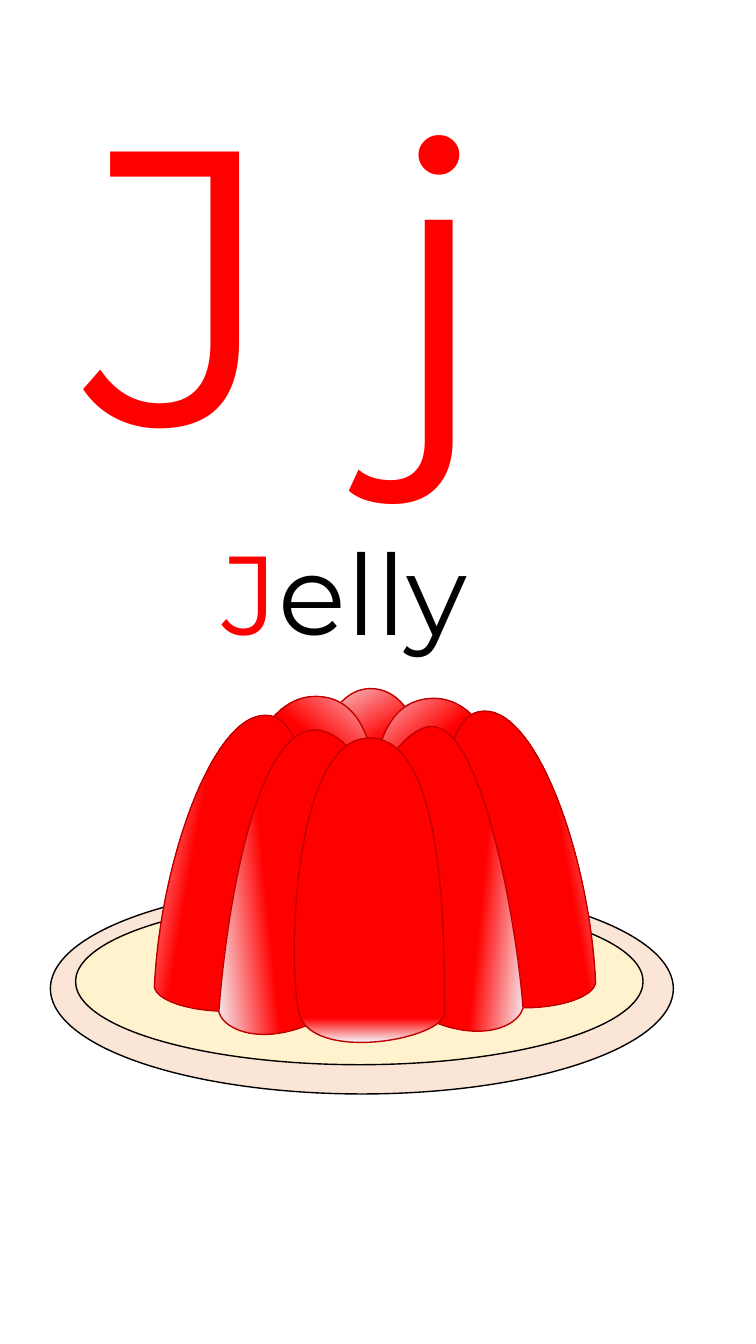
from dataclasses import dataclass
from math import cos, radians, sin

from lxml import etree
from pptx import Presentation
from pptx import util as u
from pptx.dml.color import RGBColor
from pptx.enum import shapes, text
from pptx.oxml import ns

# Content: each text is a box (left, top, width, height in inches), size, coloured runs
LETTERS = ((0.75, 0.29, 7.93, 4.98), "headline", [("J j", "red")])
WORD = ((2.11, 5.14, 3.23, 1.45), "word", [("J", "red"), ("elly", "black")])

PLATE = [
    ((0.5, 8.76, 6.18, 2.09), "rim"),
    ((0.75, 8.91, 5.63, 1.65), "dish"),
]

# Jelly lobes, back to front: centre, tilt, gradient direction (clockwise), where
# the shine ends (%), start point, then three curves of two controls and an end
LOBES = [
    ((3.67, 8.34), 0, 60, 26, (2.98, 9.57),
     [((2.86, 9.11), (2.92, 6.84), (3.67, 6.83)),
      ((4.42, 6.82), (4.42, 8.75), (4.42, 9.59)),
      ((4.32, 9.84), (3.11, 10.03), (2.98, 9.57))]),
    ((4.45, 8.41), -9.8, 60, 26, (3.95, 9.58),
     [((3.76, 9.13), (3.38, 7.12), (4.18, 6.94)),
      ((4.99, 6.76), (5.28, 8.33), (5.35, 9.63)),
      ((5.3, 9.9), (4.14, 10.03), (3.95, 9.58))]),
    ((5.02, 8.53), -9.8, 180, 26, (4.51, 9.7),
     [((4.32, 9.25), (4.21, 7.18), (4.75, 7.06)),
      ((5.29, 6.94), (5.85, 8.45), (5.91, 9.75)),
      ((5.86, 10.02), (4.71, 10.15), (4.51, 9.7))]),
    ((4.26, 8.73), -4.2, 190, 26, (3.76, 9.78),
     [((3.04, 9.13), (3.7, 7.33), (4.24, 7.21)),
      ((4.77, 7.09), (5.13, 9.17), (5.19, 10)),
      ((5.11, 10.26), (4.47, 10.42), (3.76, 9.78))]),
    ((2.98, 8.39), 9.8, 120, 26, (3.48, 9.56),
     [((3.67, 9.11), (4.05, 7.1), (3.25, 6.92)),
      ((2.44, 6.75), (2.15, 8.31), (2.08, 9.61)),
      ((2.13, 9.88), (3.29, 10.01), (3.48, 9.56))]),
    ((2.43, 8.56), 9.8, 0, 29, (2.93, 9.74),
     [((3.12, 9.29), (3.23, 7.22), (2.69, 7.1)),
      ((2.15, 6.98), (1.59, 8.49), (1.53, 9.79)),
      ((1.58, 10.05), (2.73, 10.18), (2.93, 9.74))]),
    ((3.11, 8.76), 4.2, 350, 29, (3.6, 9.81),
     [((4.31, 9.16), (3.74, 7.23), (3.12, 7.24)),
      ((2.5, 7.25), (2.23, 9.2), (2.17, 10.04)),
      ((2.25, 10.29), (2.89, 10.45), (3.6, 9.81))]),
    ((3.66, 8.83), 0, 270, 8, (2.97, 10.06),
     [((2.85, 9.6), (2.9, 7.33), (3.66, 7.32)),
      ((4.41, 7.31), (4.41, 9.23), (4.41, 10.07)),
      ((4.31, 10.33), (3.1, 10.52), (2.97, 10.06))]),
]


@dataclass(frozen=True)
class Theme:
    font = "Montserrat"
    sizes = {"headline": 280, "word": 80}
    colours = {
        "red": RGBColor(255, 0, 0),
        "black": RGBColor(0, 0, 0),
        "rim": RGBColor(0xFB, 0xE5, 0xD6),
        "dish": RGBColor(0xFF, 0xF2, 0xCC),
        "shine": RGBColor(0xF6, 0xF8, 0xFC),
        "edge": RGBColor(0xC0, 0, 0),
    }
    line = u.Pt(1)


def inches(values):
    return [u.Inches(value) for value in values]


def outline(part, colour):
    part.shadow.inherit = False
    part.line.color.rgb = Theme.colours[colour]
    part.line.width = Theme.line


def add_label(parent, box, size, runs):
    frame = parent.add_textbox(*inches(box)).text_frame
    frame.word_wrap = True
    frame.auto_size = text.MSO_AUTO_SIZE.SHAPE_TO_FIT_TEXT
    for letters, colour in runs:
        run = frame.paragraphs[0].add_run()
        run.text = letters
        run.font.name = Theme.font
        run.font.size = u.Pt(Theme.sizes[size])
        run.font.color.rgb = Theme.colours[colour]


def upright(point, centre, tilt):
    """Turn a point back by the tilt, in EMU."""
    dx, dy = point[0] - centre[0], point[1] - centre[1]
    c, s = cos(radians(tilt)), sin(radians(tilt))
    return inches((centre[0] + dx * c + dy * s, centre[1] - dx * s + dy * c))


def on_curve(points, t):
    weights = ((1 - t) ** 3, 3 * t * (1 - t) ** 2, 3 * t * t * (1 - t), t ** 3)
    return [round(sum(w * p[axis] for w, p in zip(weights, points))) for axis in (0, 1)]


def add_lobe(parent, centre, tilt, direction, shine_end, start, curves, steps=24):
    first = upright(start, centre, tilt)
    curves = [[upright(point, centre, tilt) for point in curve] for curve in curves]
    starts = [first] + [curve[-1] for curve in curves]
    samples = [on_curve([begin] + curve, step / steps)
               for begin, curve in zip(starts, curves) for step in range(1, steps + 1)]

    # The sampled outline gives the extent; true curves then replace its segments
    builder = parent.build_freeform(*first)
    builder.add_line_segments(samples, close=True)
    lobe = builder.convert_to_shape()
    path = lobe._element.find(".//" + ns.qn("a:path"))
    for segment in path.findall(ns.qn("a:lnTo")):
        path.remove(segment)
    close = path.find(ns.qn("a:close"))
    for curve in curves:
        bezier = etree.Element(ns.qn("a:cubicBezTo"))
        for x, y in curve:
            etree.SubElement(bezier, ns.qn("a:pt"),
                             x=str(x - lobe.left), y=str(y - lobe.top))
        close.addprevious(bezier)

    lobe.rotation = tilt
    lobe.fill.gradient()
    lobe.fill.gradient_angle = (360 - direction) % 360
    stops = zip(lobe.fill.gradient_stops, (0, shine_end), ("shine", "red"))
    for stop, position, colour in stops:
        stop.position = position / 100
        stop.color.rgb = Theme.colours[colour]
    outline(lobe, "edge")


def main():
    deck = Presentation()
    deck.slide_width, deck.slide_height = inches((7.5, 13.33))
    slide = deck.slides.add_slide(deck.slide_layouts[6])

    # Letter pair
    add_label(slide.shapes, *LETTERS)

    # Word with its jelly on a plate
    example = slide.shapes.add_group_shape().shapes
    add_label(example, *WORD)
    for box, colour in PLATE:
        ring = example.add_shape(shapes.MSO_SHAPE.OVAL, *inches(box))
        ring.fill.solid()
        ring.fill.fore_color.rgb = Theme.colours[colour]
        outline(ring, "black")
    for lobe in LOBES:
        add_lobe(example, *lobe)

    deck.save("out.pptx")


if __name__ == "__main__":
    main()
